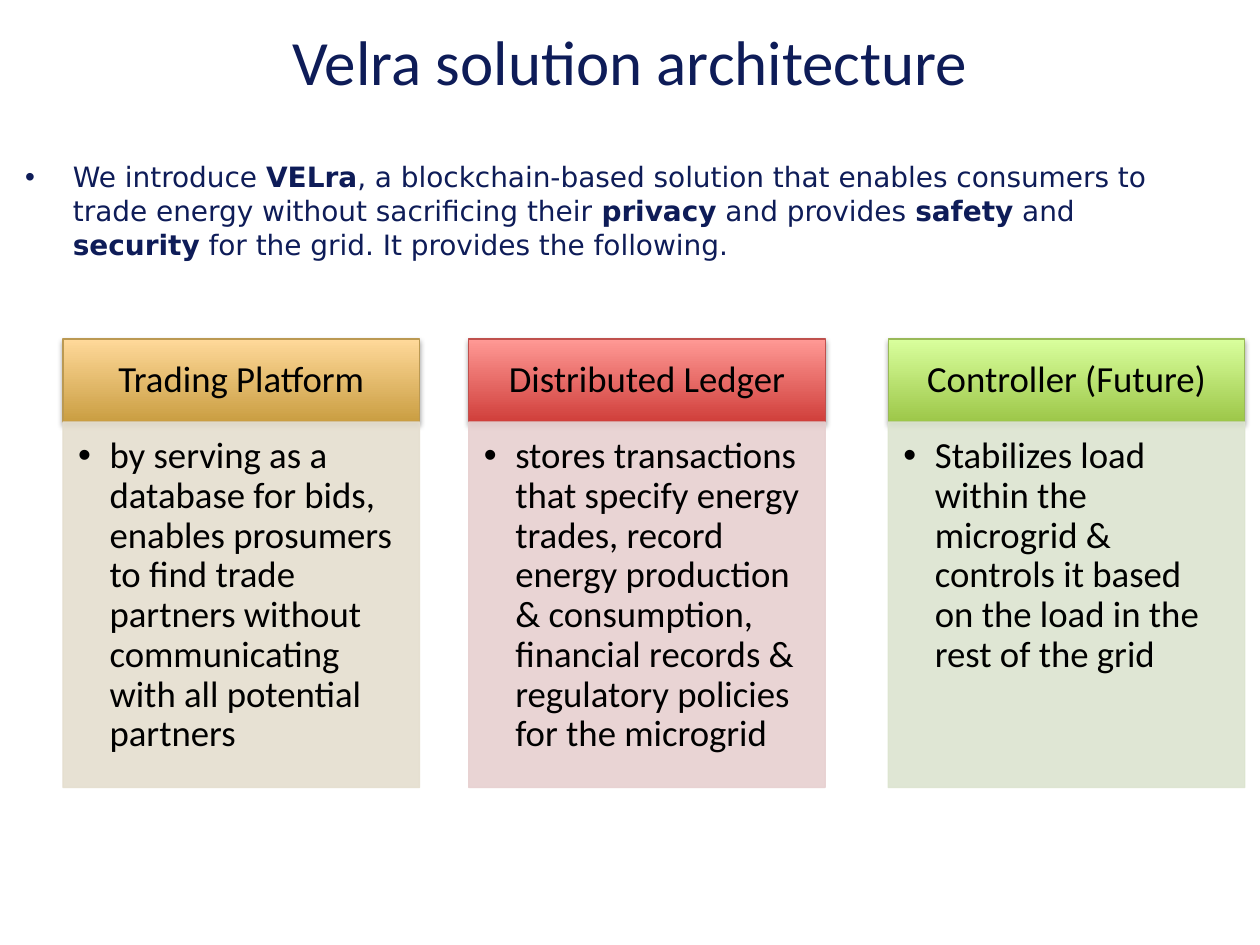
from lxml import etree
from pptx import Presentation
from pptx.dml.color import RGBColor
from pptx.enum.shapes import MSO_SHAPE
from pptx.enum.text import MSO_ANCHOR, PP_ALIGN
from pptx.oxml.ns import qn
from pptx.util import Inches, Pt

RECTANGLE = MSO_SHAPE.RECTANGLE
TOP, MIDDLE = MSO_ANCHOR.TOP, MSO_ANCHOR.MIDDLE
LEFT, CENTER = PP_ALIGN.LEFT, PP_ALIGN.CENTER

COLORS = {
    "navy": "0E1C58", "black": "000000",
    "gold_dark": "CA9E42", "gold_light": "FFD99A", "gold_line": "BB9952", "gold_pale": "E5DECE",
    "red_dark": "D03F3B", "red_light": "FF9995", "red_line": "BF504D", "red_pale": "E7CFCF",
    "green_dark": "9DC749", "green_light": "D9FF9D", "green_line": "99B958", "green_pale": "DCE4CF",
}

INTRO = [
    ("We introduce ", False),
    ("VELra", True),
    (", a blockchain-based solution that enables consumers to trade energy "
     "without sacrificing their ", False),
    ("privacy", True),
    (" and provides ", False),
    ("safety", True),
    (" and ", False),
    ("security", True),
    (" for the grid. It provides the following.", False),
]

COMPONENTS = [
    (0.5, "gold", "Trading Platform",
     "by serving as a database for bids, enables prosumers to find trade partners "
     "without communicating with all potential partners"),
    (3.72, "red", "Distributed Ledger",
     "stores transactions that specify energy trades, record energy production "
     "& consumption, financial records & regulatory policies for the microgrid"),
    (7.05, "green", "Controller (Future)",
     "Stabilizes load within the microgrid & controls it based on the load "
     "in the rest of the grid"),
]


def rgb(name):
    return RGBColor.from_string(COLORS[name])


def add_alpha(fill_parent, percent):
    color = fill_parent.find(qn("a:solidFill"))[0]
    etree.SubElement(color, qn("a:alpha"), val=str(percent * 1000))


class SlideBuilder:
    title_font = "Calibri"
    intro_font = "DejaVu Sans"
    column_width = 2.83
    header_top, header_height = 2.69, 0.66
    detail_height = 2.9

    def __init__(self, slide):
        self.slide = slide

    def set_text(self, shape, runs, size, font, color, align=LEFT, anchor=TOP, insets=None):
        frame = shape.text_frame
        frame.word_wrap = True
        frame.vertical_anchor = anchor
        if insets:
            (frame.margin_left, frame.margin_top,
             frame.margin_right, frame.margin_bottom) = map(Inches, insets)
        paragraph = frame.paragraphs[0]
        paragraph.alignment = align
        for words, bold in runs:
            run = paragraph.add_run()
            run.text = words
            run.font.size = Pt(size)
            run.font.name = font
            run.font.bold = bold
            run.font.color.rgb = rgb(color)
        return paragraph

    def bullet(self, paragraph, indent, color):
        properties = paragraph._p.get_or_add_pPr()
        properties.set("marL", str(Inches(indent)))
        properties.set("indent", str(-Inches(indent)))
        bullet_color = etree.SubElement(properties, qn("a:buClr"))
        etree.SubElement(bullet_color, qn("a:srgbClr"), val=COLORS[color])
        etree.SubElement(properties, qn("a:buFont"), typeface="Arial")
        etree.SubElement(properties, qn("a:buChar"), char="•")

    def textbox(self, left, top, width, height):
        return self.slide.shapes.add_textbox(*map(Inches, (left, top, width, height)))

    def title(self, words):
        box = self.textbox(0.5, 0.06, 9, 0.84)
        self.set_text(box, [(words, False)], 36, self.title_font, "navy", CENTER, MIDDLE)

    def intro(self, runs):
        box = self.textbox(0.1, 1.22, 9.19, 4.95)
        paragraph = self.set_text(box, runs, 16, self.intro_font, "navy")
        paragraph.space_before = Pt(3.2)
        self.bullet(paragraph, 0.38, "navy")

    def panel(self, left, top, height, line):
        shape = self.slide.shapes.add_shape(
            RECTANGLE, *map(Inches, (left, top, self.column_width, height)))
        shape.shadow.inherit = False
        shape.line.color.rgb = rgb(line)
        shape.line.width = Pt(0.75)
        return shape

    def header(self, left, hue, words):
        shape = self.panel(left, self.header_top, self.header_height, f"{hue}_line")
        shape.fill.gradient()
        shape.fill.gradient_angle = 90
        for stop, shade in zip(shape.fill.gradient_stops, ("dark", "light")):
            stop.color.rgb = rgb(f"{hue}_{shade}")
        self.drop_shadow(shape)
        paragraph = self.set_text(shape, [(words, False)], 21, self.title_font, "black",
                                  CENTER, MIDDLE, (0.16, 0.09, 0.16, 0.09))
        paragraph.line_spacing = 0.9

    def drop_shadow(self, shape):
        effects = shape._element.spPr.find(qn("a:effectLst"))
        shadow = etree.SubElement(
            effects, qn("a:outerShdw"), blurRad=str(Pt(3.1)), dist=str(Pt(1.8)),
            dir=str(90 * 60000), rotWithShape="0")
        color = etree.SubElement(shadow, qn("a:srgbClr"), val=COLORS["black"])
        etree.SubElement(color, qn("a:alpha"), val="35000")

    def detail(self, left, hue, words):
        pale = f"{hue}_pale"
        shape = self.panel(left, self.header_top + self.header_height, self.detail_height, pale)
        shape.fill.solid()
        shape.fill.fore_color.rgb = rgb(pale)
        properties = shape._element.spPr
        add_alpha(properties, 89)
        add_alpha(properties.find(qn("a:ln")), 89)
        paragraph = self.set_text(shape, [(words, False)], 21, self.title_font, "black",
                                  insets=(0.12, 0.12, 0.16, 0.18))
        paragraph.line_spacing = 0.9
        self.bullet(paragraph, 0.25, "black")


def main():
    deck = Presentation()
    deck.slide_width, deck.slide_height = Inches(10), Inches(7.5)
    builder = SlideBuilder(deck.slides.add_slide(deck.slide_layouts[6]))
    builder.intro(INTRO)
    builder.title("Velra solution architecture")
    for left, hue, name, role in COMPONENTS:
        builder.header(left, hue, name)
        builder.detail(left, hue, role)
    deck.save("out.pptx")


if __name__ == "__main__":
    main()
